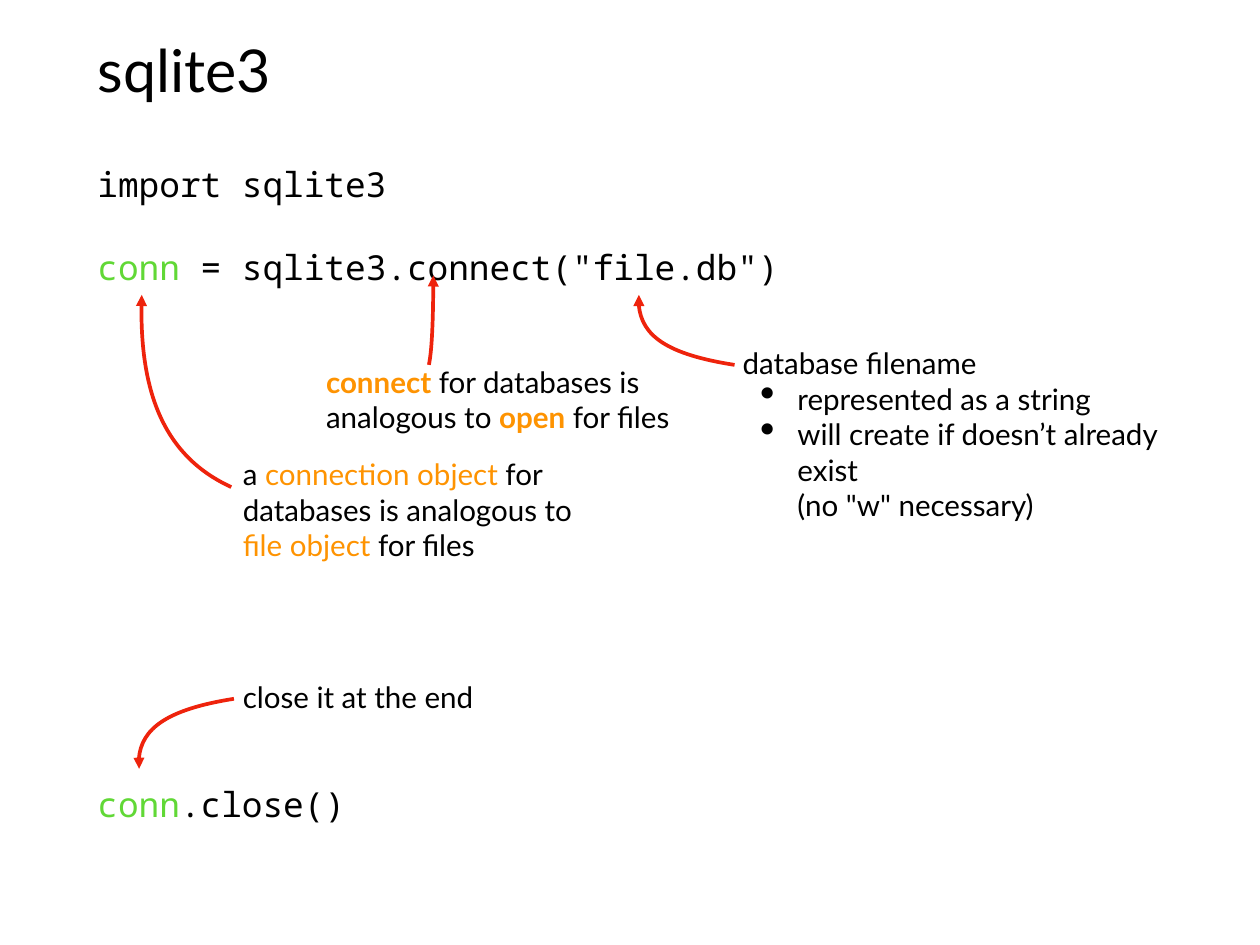
from lxml import etree
from pptx import Presentation
from pptx import util as u
from pptx.dml.color import RGBColor
from pptx.enum import text
from pptx.oxml import ns

BLACK, GREEN, ORANGE, RED = "000000", "61D836", "FE9301", "EE230C"
SANS, MONO = "Lato", "Noto Sans Mono"
CODE_LINE = 33.6  # points


def colour(value):
    return RGBColor.from_string(value)


def place(box, left, top, width, height):
    box.left, box.top = u.Inches(left), u.Inches(top)
    box.width, box.height = u.Inches(width), u.Inches(height)


def set_frame(frame, anchor, auto_size, top=0.06):
    frame.word_wrap = True
    frame.auto_size = auto_size
    frame.vertical_anchor = anchor
    frame.margin_left = frame.margin_right = frame.margin_bottom = u.Inches(0.06)
    frame.margin_top = u.Inches(top)


def add_span(para, words, font, size, fill=BLACK, bold=False):
    """Add one run; a newline in the words becomes a line break."""
    for number, line in enumerate(words.split("\n")):
        if number:
            para.add_line_break()
        span = para.add_run()
        span.text = line
        span.font.name = font
        span.font.size = u.Pt(size)
        span.font.bold = bold
        span.font.color.rgb = colour(fill)


def add_paras(frame, paras, font, size):
    """Fill a frame with paragraphs, each a list of span arguments."""
    for number, spans in enumerate(paras):
        para = frame.add_paragraph() if number else frame.paragraphs[0]
        para.alignment = text.PP_ALIGN.LEFT
        for span in spans:
            add_span(para, *span[:1], font, size, *span[1:])
    return frame.paragraphs


def set_bullet(para, char=None, indent=0, hanging=0):
    props = para._p.get_or_add_pPr()
    props.set("marL", str(u.Inches(indent)))
    props.set("indent", str(-u.Inches(hanging)))
    if char:
        etree.SubElement(props, ns.qn("a:buSzPct"), val="145000")
        etree.SubElement(props, ns.qn("a:buChar"), char=char)
    else:
        etree.SubElement(props, ns.qn("a:buNone"))


def add_title(page, words):
    title = page.shapes.title
    place(title, 1.04, 0.28, 12.14, 0.99)
    set_frame(title.text_frame, text.MSO_ANCHOR.MIDDLE, text.MSO_AUTO_SIZE.NONE)
    add_paras(title.text_frame, [[(words,)]], SANS, 48)


def add_code(page, statements, gaps):
    """Put the code in the body; gaps count the free lines above each statement."""
    body = page.placeholders[1]
    place(body, 1.04, 1.74, 12.5, 7.8)
    set_frame(body.text_frame, text.MSO_ANCHOR.TOP, text.MSO_AUTO_SIZE.NONE, top=0.1)
    paras = add_paras(body.text_frame, statements, MONO, 28)
    for para, gap in zip(paras, gaps):
        para.line_spacing = u.Pt(CODE_LINE)
        para.space_before = u.Pt(gap * CODE_LINE)
        set_bullet(para)


def add_note(page, at, paras):
    """Add an explanation whose paragraphs after the first are bulleted."""
    box = page.shapes.add_textbox(*map(u.Inches, at))
    set_frame(box.text_frame, text.MSO_ANCHOR.TOP, text.MSO_AUTO_SIZE.SHAPE_TO_FIT_TEXT)
    for para in add_paras(box.text_frame, paras, SANS, 24)[1:]:
        set_bullet(para, "•", 0.62, 0.42)


def add_curved_arrow(page, *points):
    """Draw a Bézier arrow through start, two control points and end."""
    start, *rest = [(u.Inches(x), u.Inches(y)) for x, y in points]
    builder = page.shapes.build_freeform(*start)
    builder.add_line_segments(rest, close=False)
    arrow = builder.convert_to_shape()
    arrow.shadow.inherit = False
    arrow.fill.background()
    arrow.line.color.rgb = colour(RED)
    arrow.line.width = u.Pt(3)
    properties = arrow._element.spPr
    etree.SubElement(properties.find(ns.qn("a:ln")), ns.qn("a:tailEnd"), type="triangle")

    segments = list(properties.iter(ns.qn("a:lnTo")))
    outline = segments[0].getparent()
    curve = etree.SubElement(outline, ns.qn("a:cubicBezTo"))
    for segment in segments:
        curve.append(segment[0])
        outline.remove(segment)


def main():
    deck = Presentation()
    deck.slide_width, deck.slide_height = u.Inches(14.22), u.Inches(10.67)
    page = deck.slides.add_slide(deck.slide_layouts[1])

    add_title(page, "sqlite3")
    add_code(page, [
        [("import sqlite3",)],
        [("conn", GREEN), (' = sqlite3.connect("file.db")',)],
        [("conn", GREEN), (".close()",)],
    ], gaps=(0, 1, 12))

    add_curved_arrow(page, (8.29, 4.12), (7.52, 4), (7.17, 3.74), (7.21, 3.33))
    add_note(page, (8.32, 3.84, 5.25, 1.67), [
        [("database filename",)],
        [("represented as a string",)],
        [('will create if doesn’t already exist\n(no "w" necessary)',)],
    ])

    add_curved_arrow(page, (4.84, 4.12), (4.87, 3.98), (4.89, 3.64), (4.89, 3.11))
    add_note(page, (3.62, 4.05, 4.28, 0.89), [[
        ("connect", ORANGE, True), (" for databases is analogous to ",),
        ("open", ORANGE, True), (" for files",),
    ]])

    add_curved_arrow(page, (2.61, 5.5), (1.89, 5.17), (1.56, 4.45), (1.6, 3.33))
    add_note(page, (2.68, 5.09, 4.28, 1.28), [[
        ("a ",), ("connection object", ORANGE), (" for databases is analogous to ",),
        ("file object", ORANGE), (" for files",),
    ]])

    add_curved_arrow(page, (2.64, 7.89), (1.88, 8.01), (1.52, 8.28), (1.57, 8.68))
    add_note(page, (2.68, 7.61, 4.28, 0.5), [[("close it at the end",)]])

    deck.save("out.pptx")


if __name__ == "__main__":
    main()
